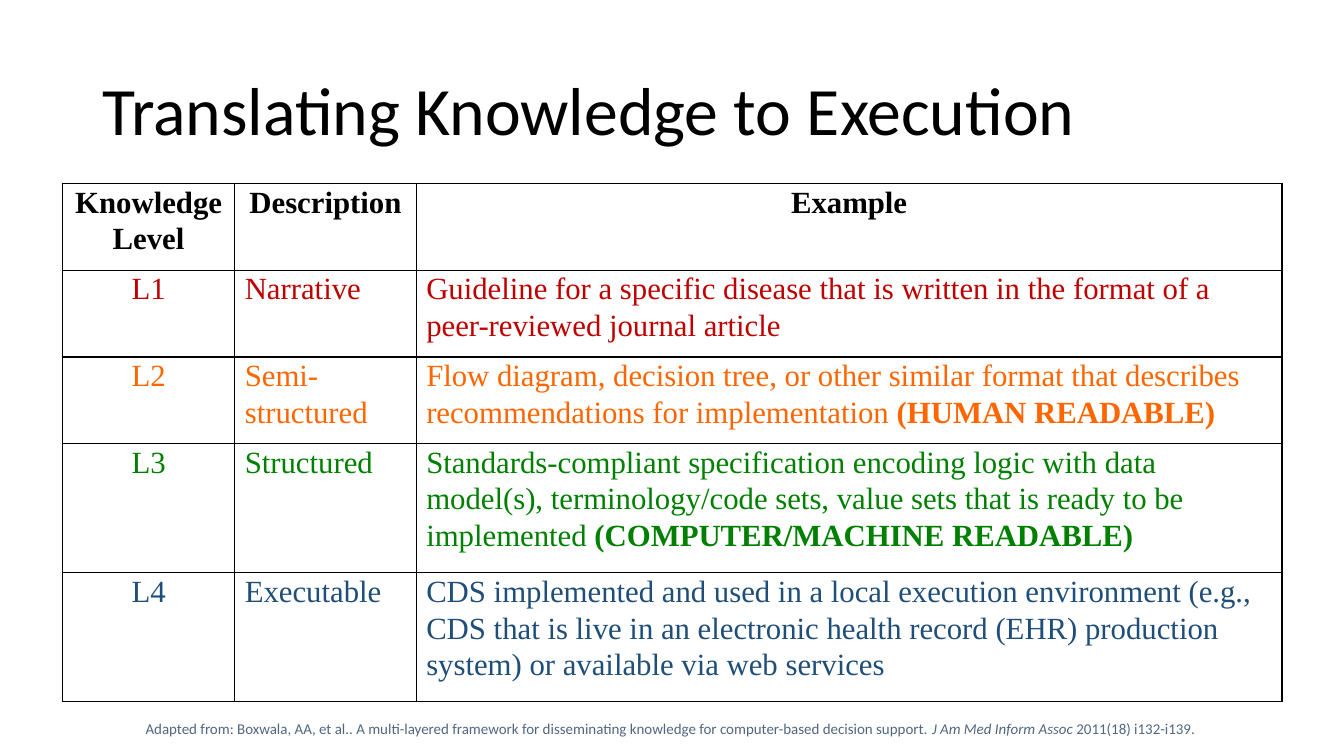
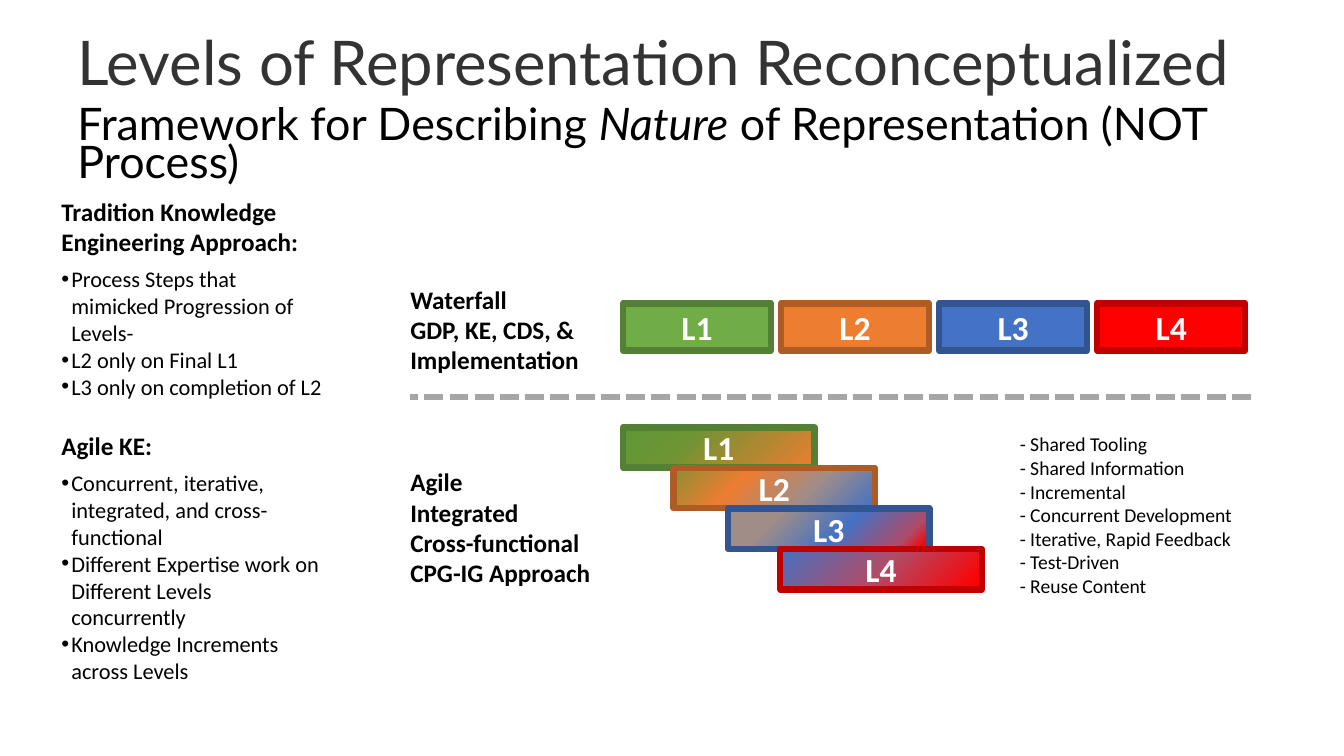
from dataclasses import dataclass, replace
from typing import NamedTuple

from lxml.etree import SubElement
from pptx import Presentation
from pptx.dml.color import RGBColor
from pptx.enum.dml import MSO_LINE
from pptx.enum.shapes import MSO_CONNECTOR, MSO_SHAPE
from pptx.enum.text import MSO_ANCHOR, MSO_AUTO_SIZE, PP_ALIGN
from pptx.oxml.ns import qn
from pptx.util import Pt

BLACK = "000000"
WHITE = "FFFFFF"


class Area(NamedTuple):
    left: float
    top: float
    width: float
    height: float


class Span(NamedTuple):
    text: str
    bold: bool = False
    italic: bool = False


@dataclass(frozen=True)
class Style:
    size: float
    font: str = "Calibri"
    color: str = BLACK
    bold: bool = False
    align: PP_ALIGN = PP_ALIGN.LEFT
    line_spacing: float | Pt | None = None
    before: float = 0
    after: float = 0
    bullet: bool = False


class Line(NamedTuple):
    spans: tuple[Span, ...]
    style: Style


class Level(NamedTuple):
    name: str
    fill: str
    border: str
    agile: Area
    stops: tuple[tuple[int, str], ...]


class KnowledgeRow(NamedTuple):
    level: str
    description: str
    example: tuple[Span, ...]
    color: str


LABEL = Style(18, bold=True)
HEADING = replace(LABEL, after=6)
BULLET = Style(16, bullet=True)
LEVEL_NAME = Style(24, color=WHITE, bold=True, align=PP_ALIGN.CENTER)
CELL = Style(22, "Times New Roman", line_spacing=1.07)
HEADER_CELL = replace(CELL, bold=True, align=PP_ALIGN.CENTER)

HEADERS = ("Knowledge Level", "Description", "Example")
COLUMN_WIDTHS = (123.1, 129.6, 618.5)
ROW_HEIGHTS = (62, 62, 62, 92.2, 92.2)
KNOWLEDGE_ROWS = (
    KnowledgeRow("L1", "Narrative", (
        Span("Guideline for a specific disease that is written in the format of a "
             "peer-reviewed journal article"),), "C00000"),
    KnowledgeRow("L2", "Semi-structured", (
        Span("Flow diagram, decision tree, or other similar format that describes "
             "recommendations for implementation "),
        Span("(HUMAN READABLE)", bold=True)), "FF6600"),
    KnowledgeRow("L3", "Structured", (
        Span("Standards-compliant specification encoding logic with data model(s), "
             "terminology/code sets, value sets that is ready to be implemented "),
        Span("(COMPUTER/MACHINE READABLE)", bold=True)), "008000"),
    KnowledgeRow("L4", "Executable", (
        Span("CDS implemented and used in a local execution environment (e.g., CDS that "
             "is live in an electronic health record (EHR) production system) or "
             "available via web services"),), "1F4E79"),
)

AGILE_TOP, AGILE_STEP, AGILE_HEIGHT = 305.3, 29, 28.8
WATERFALL = Area(445, 216.7, 105.8, 33.8)
WATERFALL_STEP = 112.9


def agile_area(index: int, left: float, width: float) -> Area:
    return Area(left, AGILE_TOP + index * AGILE_STEP, width, AGILE_HEIGHT)


LEVELS = (
    Level("L1", "70AD47", "538035", agile_area(0, 445, 136.8),
          ((0, "5D9835"), (33, "6F9434"), (67, "AF8832"), (100, "ED7D31"))),
    Level("L2", "ED7D31", "AF5C24", agile_area(1, 481, 144),
          ((1, "8F8E33"), (33, "ED7D31"), (67, "9F8D89"), (99, "4472C4"))),
    Level("L3", "4472C4", "325491", agile_area(2, 520, 144),
          ((24, "A08D88"), (56, "4472C4"), (86, "B04B67"), (97, "FF0000"))),
    Level("L4", "FF0000", "C00000", agile_area(3, 557.3, 144),
          ((0, "4472C4"), (50, "AF4C68"), (97, "FF0000"))),
)

WATERFALL_LABEL = ("Waterfall", "GDP, KE, CDS, &", "Implementation")
AGILE_LABEL = ("Agile", "Integrated", "Cross-functional", "CPG-IG Approach")
BENEFITS = (
    "- Shared Tooling", "- Shared Information", "- Incremental",
    "- Concurrent Development", "- Iterative, Rapid Feedback", "- Test-Driven",
    "- Reuse Content",
)
TRADITION_POINTS = (
    "Process Steps that mimicked Progression of Levels-",
    "L2 only on Final L1",
    "L3 only on completion of L2",
)
AGILE_POINTS = (
    "Concurrent, iterative, integrated, and cross-functional",
    "Different Expertise work on Different Levels concurrently",
    "Knowledge Increments across Levels",
)


def rgb(color: str) -> RGBColor:
    return RGBColor.from_string(color)


def plain(texts: tuple[str, ...], style: Style) -> list[Line]:
    return [Line((Span(text),), style) for text in texts]


def add_bullet(para) -> None:
    properties = para._p.get_or_add_pPr()
    properties.set("marL", str(Pt(7.2)))
    properties.set("indent", str(-Pt(7.2)))
    SubElement(properties, qn("a:buFont")).set("typeface", "Arial")
    SubElement(properties, qn("a:buChar")).set("char", "•")


def write_paragraph(para, line: Line) -> None:
    style = line.style
    para.alignment = style.align
    if style.line_spacing is not None:
        para.line_spacing = style.line_spacing
    para.space_before = Pt(style.before)
    para.space_after = Pt(style.after)
    if style.bullet:
        add_bullet(para)
    para.text = line.spans[0].text
    for span in line.spans[1:]:
        para.add_run().text = span.text
    for run, span in zip(para.runs, line.spans):
        run.font.name = style.font
        run.font.size = Pt(style.size)
        run.font.color.rgb = rgb(style.color)
        run.font.bold = style.bold or span.bold
        run.font.italic = span.italic


def write_lines(frame, lines: list[Line]) -> None:
    frame.text = "\n".join("" for _ in lines)
    for para, line in zip(frame.paragraphs, lines):
        write_paragraph(para, line)


def add_text(page, area: Area, lines: list[Line], wrap: bool = True,
             grow: bool = True, anchor: MSO_ANCHOR = MSO_ANCHOR.TOP) -> None:
    box = page.shapes.add_textbox(*map(Pt, area))
    frame = box.text_frame
    frame.word_wrap = wrap
    frame.auto_size = MSO_AUTO_SIZE.SHAPE_TO_FIT_TEXT if grow else MSO_AUTO_SIZE.NONE
    frame.vertical_anchor = anchor
    write_lines(frame, lines)


def set_gradient(fill, stops: tuple[tuple[int, str], ...]) -> None:
    fill.gradient()
    fill.gradient_angle = 315
    stop_list = fill._xPr.find(qn("a:gradFill")).find(qn("a:gsLst"))
    for stop in list(stop_list):
        stop_list.remove(stop)
    for position, color in stops:
        stop = SubElement(stop_list, qn("a:gs"))
        stop.set("pos", str(position * 1000))
        SubElement(stop, qn("a:srgbClr")).set("val", color)


def add_level(page, level: Level, area: Area, blended: bool) -> None:
    box = page.shapes.add_shape(MSO_SHAPE.RECTANGLE, *map(Pt, area))
    box.shadow.inherit = False
    if blended:
        set_gradient(box.fill, level.stops)
    else:
        box.fill.solid()
        box.fill.fore_color.rgb = rgb(level.fill)
    box.line.color.rgb = rgb(level.border)
    box.line.width = Pt(4.5)
    box.text_frame.vertical_anchor = MSO_ANCHOR.MIDDLE
    write_lines(box.text_frame, plain((level.name,), LEVEL_NAME))


def add_divider(page) -> None:
    divider = page.shapes.add_connector(
        MSO_CONNECTOR.STRAIGHT, Pt(893.5), Pt(283.7), Pt(293), Pt(283.7))
    divider.line.color.rgb = rgb("A6A6A6")
    divider.line.width = Pt(4.5)
    divider.line.dash_style = MSO_LINE.SQUARE_DOT
    SubElement(divider._element.spPr, qn("a:effectLst"))


def set_borders(cell) -> None:
    properties = cell._tc.get_or_add_tcPr()
    for index, side in enumerate(("a:lnL", "a:lnR", "a:lnT", "a:lnB")):
        border = SubElement(properties, qn(side))
        border.set("w", str(Pt(1)))
        paint = SubElement(border, qn("a:solidFill"))
        SubElement(paint, qn("a:srgbClr")).set("val", BLACK)
        properties.remove(border)
        properties.insert(index, border)


def add_knowledge_table(page) -> None:
    rows = [plain(HEADERS, HEADER_CELL)]
    for row in KNOWLEDGE_ROWS:
        style = replace(CELL, color=row.color)
        rows.append([
            Line((Span(row.level),), replace(style, align=PP_ALIGN.CENTER)),
            Line((Span(row.description),), style),
            Line(row.example, style),
        ])
    area = Area(44.6, 131, sum(COLUMN_WIDTHS), sum(ROW_HEIGHTS))
    table = page.shapes.add_table(len(rows), len(HEADERS), *map(Pt, area)).table
    table.first_row = False
    table.horz_banding = False
    for column, width in zip(table.columns, COLUMN_WIDTHS):
        column.width = Pt(width)
    for table_row, height, lines in zip(table.rows, ROW_HEIGHTS, rows):
        table_row.height = Pt(height)
        for cell, line in zip(table_row.cells, lines):
            cell.margin_left = cell.margin_right = Pt(7.2)
            cell.margin_top = cell.margin_bottom = Pt(0)
            cell.fill.background()
            set_borders(cell)
            write_lines(cell.text_frame, [line])


def build_translation(page) -> None:
    add_knowledge_table(page)
    add_text(page, Area(66, 28.8, 828, 104.4),
             plain(("Translating Knowledge to Execution",), Style(48.4, line_spacing=0.9)),
             grow=False, anchor=MSO_ANCHOR.MIDDLE)
    citation = (
        Span("Adapted from: Boxwala, AA, et al.. A multi-layered framework for "
             "disseminating knowledge for computer-based decision support. "),
        Span("J Am Med Inform Assoc ", italic=True),
        Span("2011(18) i132-i139. "),
    )
    add_text(page, Area(0, 510.5, 960, 20),
             [Line(citation, Style(10.7, color="526681", align=PP_ALIGN.CENTER))])


def build_levels(page) -> None:
    for index, level in enumerate(LEVELS):
        step_area = WATERFALL._replace(left=WATERFALL.left + index * WATERFALL_STEP)
        add_level(page, level, step_area, blended=False)
    for level in LEVELS:
        add_level(page, level, level.agile, blended=True)
    add_text(page, Area(286, 199.4, 136, 72.7), plain(WATERFALL_LABEL, LABEL), wrap=False)
    add_text(page, Area(286, 329.8, 144, 94.3), plain(AGILE_LABEL, LABEL), wrap=False)
    add_text(page, Area(721.4, 305.3, 167.8, 126), plain(BENEFITS, Style(14)), wrap=False)
    add_divider(page)
    add_text(page, Area(48.2, 23.8, 864, 46),
             plain(("Levels of Representation Reconceptualized",),
                   Style(44, "Lato", "333333", line_spacing=Pt(42.6))), grow=False)
    subtitle = (Span("Framework for Describing "), Span("Nature", italic=True),
                Span(" of Representation (NOT Process)"))
    add_text(page, Area(48.2, 77, 864, 23.8),
             [Line(subtitle, Style(32, "Lato", line_spacing=Pt(26.6)))], grow=False)
    approaches = (
        plain(("Tradition Knowledge Engineering Approach:",), HEADING)
        + plain(TRADITION_POINTS, BULLET)
        + plain(("Agile KE:",), replace(HEADING, before=22))
        + plain(AGILE_POINTS, BULLET)
    )
    add_text(page, Area(36.7, 136.8, 201.6, 358.6), approaches)


def main() -> None:
    deck = Presentation()
    deck.slide_width, deck.slide_height = Pt(960), Pt(540)
    for build in (build_translation, build_levels):
        build(deck.slides.add_slide(deck.slide_layouts[6]))
    deck.save("out.pptx")


if __name__ == "__main__":
    main()
